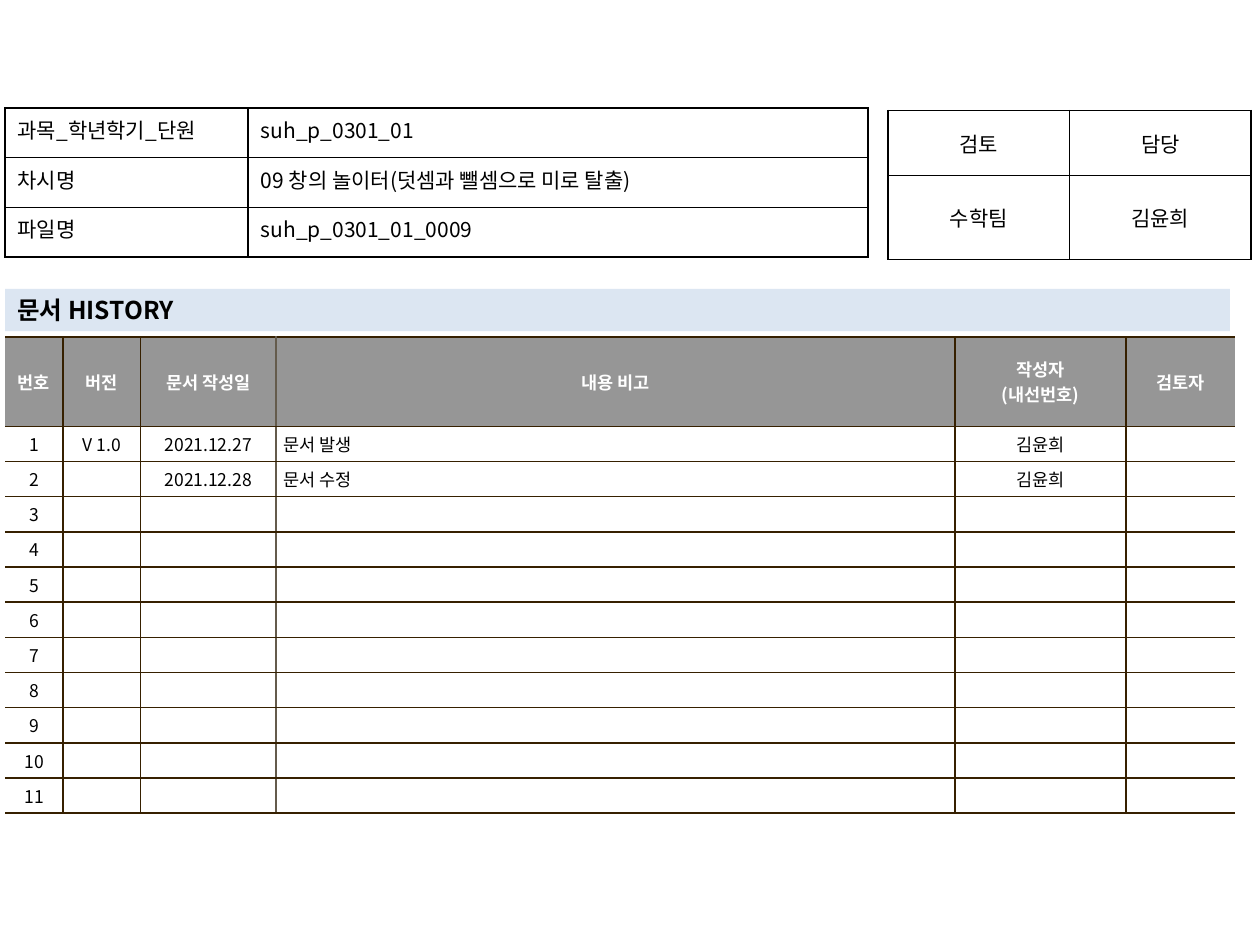
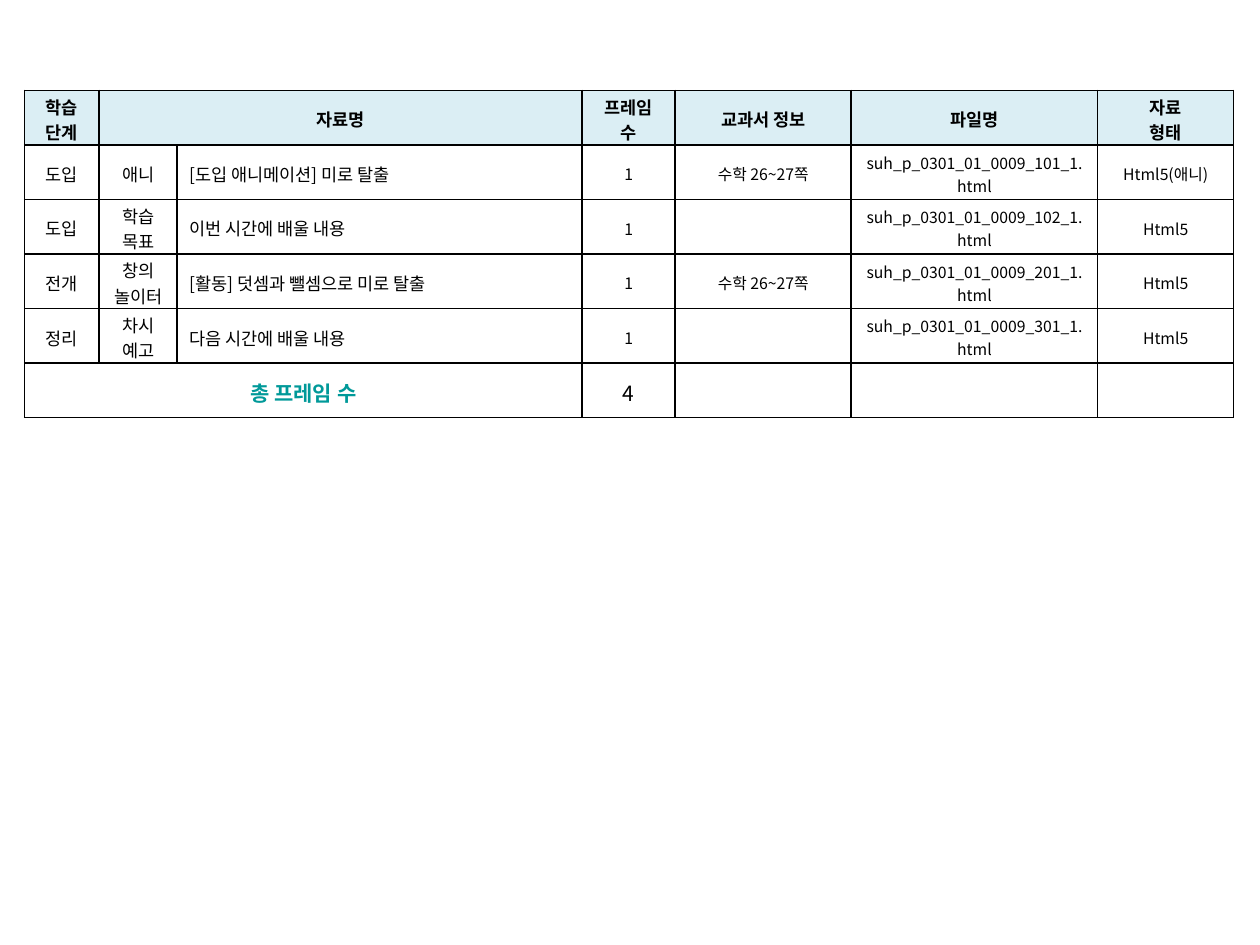
"""Build the history sheet and the frame list of a lesson storyboard."""
from lxml import etree
from pptx import Presentation
from pptx.dml.color import RGBColor
from pptx.enum import shapes, text
from pptx.oxml import ns
from pptx.util import Pt

FACE = "Noto Sans CJK KR"
BLACK = RGBColor(0x00, 0x00, 0x00)
WHITE = RGBColor(0xFF, 0xFF, 0xFF)
GRAY = RGBColor(0x96, 0x96, 0x96)
BROWN = RGBColor(0x36, 0x20, 0x00)
TAUPE = RGBColor(0x64, 0x5B, 0x4C)
BLUE = RGBColor(0xDC, 0xE6, 0xF2)
AQUA = RGBColor(0xDB, 0xEE, 0xF4)
TEAL = RGBColor(0x00, 0x99, 0x99)
LEFT, MID = text.PP_ALIGN.LEFT, text.PP_ALIGN.CENTER
BASE = {"size": 10, "bold": False, "color": BLACK, "align": MID,
        "fill": WHITE, "anchor": text.MSO_ANCHOR.MIDDLE}


def add(parent, tag, **attrs):
    """Append a drawing element and return it."""
    return etree.SubElement(parent, ns.qn("a:" + tag), attrs)


def write(frame, words, look):
    """Fill a text frame, one paragraph a line."""
    frame.text = words
    for para in frame.paragraphs:
        para.alignment = look["align"]
        if not para.runs:
            add(para._p, "endParaRPr", sz=str(look["size"] * 100))
        for run in para.runs:
            font = {"name": FACE, "size": Pt(look["size"]), "bold": look["bold"]}
            for key, value in font.items():
                setattr(run.font, key, value)
            run.font.color.rgb = look["color"]
            add(run._r.get_or_add_rPr(), "ea", typeface=FACE)


def rule(cell, sides):
    """Draw the borders of a cell; None hides a side."""
    props = cell._tc.get_or_add_tcPr()
    for side, color in zip("LRTB", sides):
        line = add(props, "ln" + side, w=str(Pt(1)))
        if color is None:
            add(line, "noFill")
        else:
            add(add(line, "solidFill"), "srgbClr", val=str(color))


def grid(slide, spot, cols, rows, data, look, sides, inset, spans=()):
    """Add a table whose looks and borders follow from row and column."""
    frame = slide.shapes.add_table(
        len(rows), len(cols), *map(Pt, spot), Pt(sum(cols)), Pt(sum(rows)))
    table = frame.table
    table.first_row = table.horz_banding = False
    for part, width in zip(table.columns, cols):
        part.width = Pt(width)
    for part, height in zip(table.rows, rows):
        part.height = Pt(height)
    names = ("margin_left", "margin_top", "margin_right", "margin_bottom")
    for r, line in enumerate(data):
        for c, words in enumerate(line):
            cell, style = table.cell(r, c), BASE | look(r, c)
            rule(cell, sides(c))
            cell.fill.solid()
            cell.fill.fore_color.rgb = style["fill"]
            cell.vertical_anchor = style["anchor"]
            for name, value in zip(names, inset):
                setattr(cell, name, Pt(value))
            write(cell.text_frame, words, style)
    for row, first, last in spans:
        table.cell(row, first).merge(table.cell(row, last))


def band(slide, spot, words):
    """Add a pale heading band."""
    shape = slide.shapes.add_shape(shapes.MSO_SHAPE.RECTANGLE, *map(Pt, spot))
    shape.shadow.inherit = False
    shape.fill.solid()
    shape.fill.fore_color.rgb = BLUE
    shape.line.fill.background()
    shape.text_frame.vertical_anchor = text.MSO_ANCHOR.MIDDLE
    write(shape.text_frame, words, BASE | {"size": 14, "bold": True, "align": LEFT})


def black(col):
    """Give black borders on all sides."""
    return [BLACK] * 4


def brown(col):
    """Give the history borders, open at both outer edges."""
    left = {0: None, 3: TAUPE}.get(col, BROWN)
    right = {2: TAUPE, 5: None}.get(col, BROWN)
    return [left, right, BROWN, BROWN]


def log(row, col):
    """Style a history cell."""
    if row == 0:
        return {"fill": GRAY, "color": WHITE, "bold": True}
    return {"align": LEFT if col == 3 else MID}


def item(row, col):
    """Style a frame list cell."""
    if row == 0:
        return {"fill": AQUA, "bold": True}
    if row == 5:
        return {"size": 12, "bold": col == 0, "color": BLACK if col else TEAL}
    return {"size": 10 if col < 3 else 9, "align": LEFT if col == 2 else MID}


def history(slide):
    """Build the document history slide."""
    roomy = (7.2, 3.6, 7.2, 3.6)
    notes = {1: ["V 1.0", "2021.12.27", "문서 발생", "김윤희", ""],
             2: ["", "2021.12.28", "문서 수정", "김윤희", ""]}
    data = [["번호", "버전", "문서 작성일", "내용 비고", "작성자\n(내선번호)", "검토자"]]
    data += [[str(n)] + notes.get(n, [""] * 5) for n in range(1, 12)]
    grid(slide, (2.9, 192.6), (33.1, 44.3, 77.5, 388, 97.8, 62.4),
         [51] + [20.1] * 11, data, log, brown, (4.3, 2.8, 4.3, 2.8))
    grid(slide, (507.4, 63.2), [103.8] * 2, (37.2, 47.8),
         [["검토", "담당"], ["수학팀", "김윤희"]],
         lambda r, c: {"size": 12}, black, roomy)
    band(slide, (2.9, 165, 700, 24.3), "문서 HISTORY")
    facts = [["과목_학년학기_단원", "suh_p_0301_01"],
             ["차시명", "09 창의 놀이터(덧셈과 뺄셈으로 미로 탈출)"],
             ["파일명", "suh_p_0301_01_0009"]]
    top = {"size": 12, "align": LEFT, "anchor": text.MSO_ANCHOR.TOP}
    grid(slide, (2.9, 61.7), (138.9, 354.3), [28.4] * 3, facts,
         lambda r, c: top, black, roomy)


def frames(slide):
    """Build the frame list slide."""
    pages = "수학 26~27쪽"
    steps = [("도입", "애니", "[도입 애니메이션] 미로 탈출", pages, 101, "Html5(애니)"),
             ("도입", "학습 목표", "이번 시간에 배울 내용", "", 102, "Html5"),
             ("전개", "창의\n놀이터", "[활동] 덧셈과 뺄셈으로 미로 탈출", pages, 201, "Html5"),
             ("정리", "차시 예고", "다음 시간에 배울 내용", "", 301, "Html5")]
    data = [["학습 단계", "자료명", "", "프레임 수", "교과서 정보", "파일명", "자료\n형태"]]
    data += [[step, kind, name, "1", book, f"suh_p_0301_01_0009_{code}_1.html", form]
             for step, kind, name, book, code, form in steps]
    data.append(["총 프레임 수", "", "", str(len(steps)), "", "", ""])
    grid(slide, (14.1, 51.6), (42.6, 44.6, 231.4, 53.2, 100.6, 140.9, 77.6),
         [31.2] * 6, data, item, black, (7.2, 2, 7.2, 0), [(0, 1, 2), (5, 0, 2)])


def main():
    """Build and save the deck."""
    deck = Presentation()
    deck.slide_width, deck.slide_height = Pt(720), Pt(540)
    for build in (history, frames):
        build(deck.slides.add_slide(deck.slide_layouts[6]))
    deck.save("out.pptx")


if __name__ == "__main__":
    main()
